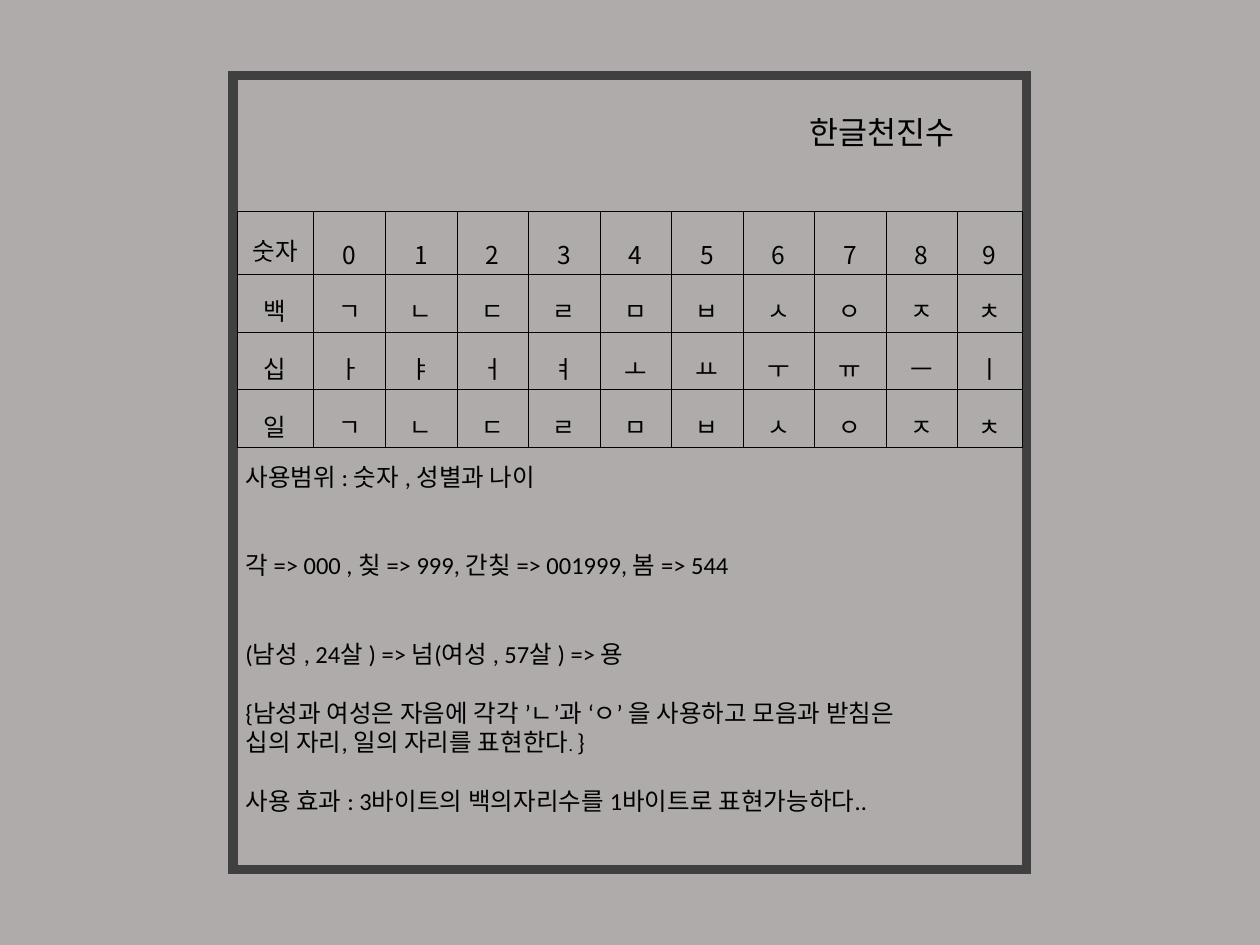
from lxml import etree
from pptx import Presentation
from pptx.dml.color import RGBColor
from pptx.enum import shapes, text
from pptx.oxml import ns
from pptx.util import Inches, Pt

# Content
COLORS = {"background": "AFABAB", "frame": "404040", "ink": "000000"}
LATIN, KOREAN = "Calibri", "Noto Sans CJK KR"
TITLE = "한글천진수"
DIGIT_ROWS = [
    ("숫자", "0123456789"),
    ("백", "ㄱㄴㄷㄹㅁㅂㅅㅇㅈㅊ"),
    ("십", "ㅏㅑㅓㅕㅗㅛㅜㅠㅡㅣ"),
    ("일", "ㄱㄴㄷㄹㅁㅂㅅㅇㅈㅊ"),
]
TABLE_WIDTH, FIRST_WIDTH, LAST_WIDTH = 6.23, 0.61, 0.51
MIDDLE_WIDTH = (TABLE_WIDTH - FIRST_WIDTH - LAST_WIDTH) / 9
COLUMN_WIDTHS = [FIRST_WIDTH] + [MIDDLE_WIDTH] * 9 + [LAST_WIDTH]
ROW_HEIGHT = 0.46
LINE = 16.8  # height of one line of notes, in points
# Each note: runs of (text, size), then the number of lines left free below
NOTES = [
    ([("사용범위 : 숫자 , 성별과 나이", 14)], 2),
    ([("각 => 000 , 칮 => 999, 간칮 => 001999, 봄 => 544", 14)], 2),
    ([("(남성 , 24살 ) => 넘\t(여성 , 57살 ) => 용", 14)], 1),
    ([("{남성과 여성은 자음에 각각 ’ㄴ’과 ‘ㅇ’ 을 사용하고 모음과 받침은", 14)], 0),
    ([("십의 자리, 일의 자리를 표현한다", 14), (". ", 10), ("}", 14)], 1),
    ([("사용 효과 : 3바이트의 백의자리수를 1바이트로 표현가능하다..", 14)], 0),
]


def color(name):
    return RGBColor.from_string(COLORS[name])


def add_runs(paragraph, runs, typeface=LATIN):
    for words, size in runs:
        run = paragraph.add_run()
        run.text = words
        run.font.size = Pt(size)
        run.font.color.rgb = color("ink")
        run.font.name = typeface
        east_asian = etree.SubElement(run.font._element, ns.qn("a:ea"))
        east_asian.set("typeface", typeface)


def add_text(left, top, width, height, paragraphs):
    frame = slide.shapes.add_textbox(*map(Inches, (left, top, width, height))).text_frame
    frame.word_wrap = True
    for index, (runs, free_lines) in enumerate(paragraphs):
        paragraph = frame.add_paragraph() if index else frame.paragraphs[0]
        paragraph.space_after = Pt(free_lines * LINE)
        add_runs(paragraph, runs)


def add_borders(cell):
    properties = cell._tc.get_or_add_tcPr()
    for position, side in enumerate(("lnL", "lnR", "lnT", "lnB")):
        border = etree.Element(ns.qn("a:" + side), w=str(Pt(0.28)))
        fill = etree.SubElement(border, ns.qn("a:solidFill"))
        etree.SubElement(fill, ns.qn("a:srgbClr"), val=COLORS["ink"])
        properties.insert(position, border)


# Slide
deck = Presentation()
deck.slide_width, deck.slide_height = Inches(10), Inches(7.5)
slide = deck.slides.add_slide(deck.slide_layouts[6])
slide.background.fill.solid()
slide.background.fill.fore_color.rgb = color("background")

# Frame with sharp corners
border_frame = slide.shapes.add_shape(
    shapes.MSO_SHAPE.RECTANGLE, Inches(1.85), Inches(0.6), Inches(6.3), Inches(6.3))
border_frame.shadow.inherit = False
border_frame.fill.background()
border_frame.line.color.rgb = color("frame")
border_frame.line.width = Pt(5.25)
etree.SubElement(border_frame.line._ln, ns.qn("a:miter"), lim="800000")

# Table of digits and letters
digits = slide.shapes.add_table(
    len(DIGIT_ROWS), len(COLUMN_WIDTHS), Inches(1.88), Inches(1.68),
    Inches(TABLE_WIDTH), Inches(ROW_HEIGHT * len(DIGIT_ROWS))).table
digits.first_row = digits.horz_banding = False
for column, width in zip(digits.columns, COLUMN_WIDTHS):
    column.width = Inches(width)
for r, (place, letters) in enumerate(DIGIT_ROWS):
    digits.rows[r].height = Inches(ROW_HEIGHT)
    for c, words in enumerate([place, *letters]):
        cell = digits.cell(r, c)
        cell.fill.background()
        cell.vertical_anchor = text.MSO_ANCHOR.MIDDLE
        cell.margin_left = cell.margin_right = Inches(0.07)
        cell.margin_top = cell.margin_bottom = Inches(0.02)
        add_borders(cell)
        paragraph = cell.text_frame.paragraphs[0]
        paragraph.alignment = text.PP_ALIGN.CENTER
        paragraph.line_spacing = 1.6
        add_runs(paragraph, [(words, 14)], KOREAN if words.isdigit() else LATIN)

# Notes and title
add_text(1.85, 3.62, 6.9, 3.1, NOTES)
add_text(6.33, 0.85, 3.3, 0.4, [([(TITLE, 18)], 0)])

deck.save("out.pptx")
